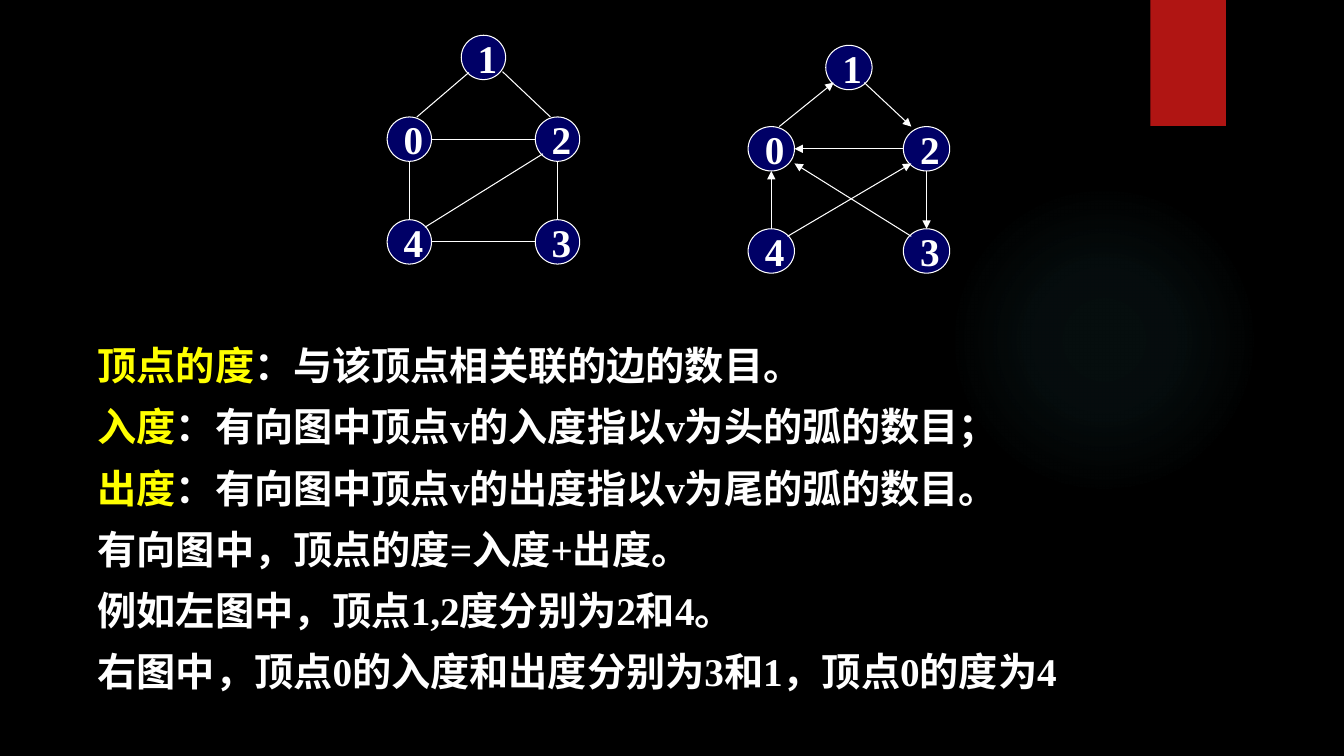
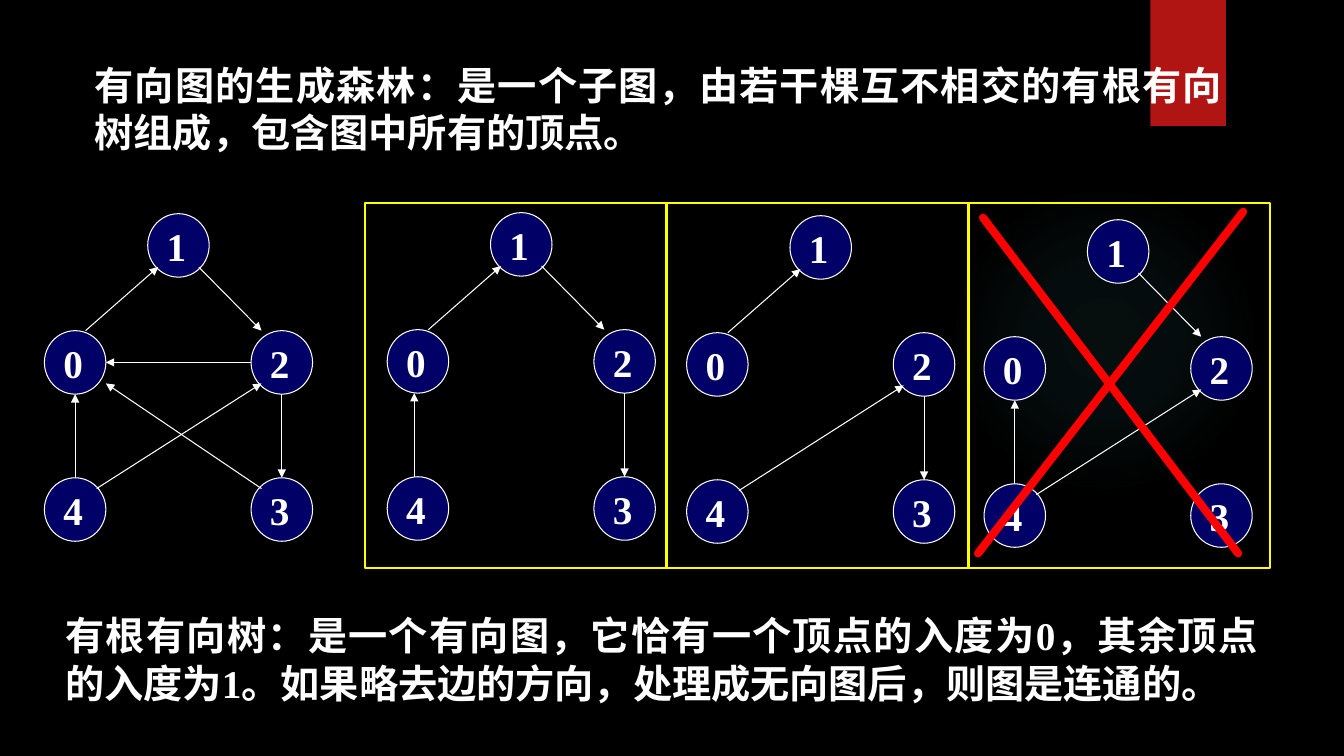
from dataclasses import dataclass

from lxml import etree
from pptx import Presentation
from pptx.dml.color import RGBColor
from pptx.enum.lang import MSO_LANGUAGE_ID as LANG
from pptx.enum.shapes import MSO_CONNECTOR as CONN, MSO_SHAPE as SHAPE
from pptx.enum.text import MSO_ANCHOR as ANCHOR, PP_ALIGN as ALIGN
from pptx.oxml import parse_xml
from pptx.oxml.ns import nsdecls, qn
from pptx.util import Emu, Pt


@dataclass(frozen=True)
class Theme:
    ground: str = "000000"
    ink: str = "FFFFFF"
    term: str = "FFFF00"
    node: str = "000066"
    tab: str = "B01513"
    glow: str = "50B9C1"
    cross: str = "FF0000"
    font: str = "Times New Roman"
    size: float = 28
    thin: float = 0.75
    frame: float = 1.5
    thick: float = 5.75


T = Theme()
PX = 9144  # EMU per px, 100 px to the inch
SLIDE_W, SLIDE_H = 1333, 750

# Node places as shares of the free space in a graph's box
NODES = {1: (0.5, 0), 0: (0, 0.443), 2: (1, 0.443), 3: (1, 1), 4: (0, 1)}

# Where each edge leaves and enters, as shares of the node's own box
ROUTES = {
    (0, 1): ((0.67, 0), (0.17, 0.84)),
    (1, 2): ((0.83, 0.84), (0.17, 0)),
    (2, 0): ((0, 0.5), (1, 0.5)),
    (0, 2): ((1, 0.5), (0, 0.5)),
    (4, 0): ((0.5, 0), (0.5, 1)),
    (2, 3): ((0.5, 1), (0.5, 0)),
    (4, 2): ((0.85, 0.17), (0.17, 0.83)),
    (3, 0): ((0.17, 0.17), (1, 0.83)),
    (4, 3): ((1, 0.5), (0, 0.5)),
}
DIRECTED = [(0, 1), (1, 2), (2, 0), (4, 0), (2, 3), (4, 2), (3, 0)]
UNDIRECTED = [(0, 1), (0, 2), (1, 2), (4, 3), (2, 3), (4, 0), (4, 2)]


def px(*lengths):
    return [Emu(round(v * PX)) for v in lengths]


def rgb(code):
    return RGBColor.from_string(code)


def add_run(p, text, color=T.ink):
    r = p.add_run()
    r.text = text
    f = r.font
    f.name, f.size, f.bold = T.font, Pt(T.size), True
    f.color.rgb = rgb(color)
    f.language_id = LANG.SIMPLIFIED_CHINESE


def add_box(shapes, kind, box, fill=None, line=None, width=T.thin):
    sp = shapes.add_shape(kind, *px(*box))
    sp.shadow.inherit = False
    if fill:
        sp.fill.solid()
        sp.fill.fore_color.rgb = rgb(fill)
    else:
        sp.fill.background()
    if line:
        sp.line.color.rgb = rgb(line)
        sp.line.width = Pt(width)
    else:
        sp.line.fill.background()
    return sp


def add_line(shapes, start, end, color=T.ink, width=T.thin, arrow=False, cap=None):
    cx = shapes.add_connector(CONN.STRAIGHT, *px(*start, *end))
    cx.line.color.rgb = rgb(color)
    cx.line.width = Pt(width)
    ln = cx.line._get_or_add_ln()
    if cap:
        ln.set("cap", cap)
    if arrow:
        etree.SubElement(ln, qn("a:tailEnd"), type="triangle")
    etree.SubElement(cx._element.spPr, qn("a:effectLst"))


def add_text(slide, box, paragraphs, align=ALIGN.LEFT, spacing=None):
    tf = slide.shapes.add_textbox(*px(*box)).text_frame
    tf.word_wrap = True
    for i, runs in enumerate(paragraphs):
        p = tf.add_paragraph() if i else tf.paragraphs[0]
        p.alignment = align
        if spacing:
            p.line_spacing = spacing
        for run in runs:
            add_run(p, *run)


def add_backdrop(slide):
    # Soft radial glow
    glow = add_box(slide.shapes, SHAPE.OVAL, (941, 183, 308, 308), T.glow)
    stops = "".join(
        f'<a:gs pos="{pos}000"><a:srgbClr val="{T.glow}">'
        f'<a:alpha val="{alpha}000"/></a:srgbClr></a:gs>'
        for pos, alpha in ((0, 7), (36, 6), (69, 0)))
    grad = parse_xml(
        f'<a:gradFill {nsdecls("a")}><a:gsLst>{stops}</a:gsLst><a:path path="circle">'
        '<a:fillToRect l="50000" t="50000" r="50000" b="50000"/></a:path></a:gradFill>')
    sp_pr = glow._element.spPr
    sp_pr.replace(sp_pr.find(qn("a:solidFill")), grad)
    # Red tab at the top edge
    add_box(slide.shapes, SHAPE.RECTANGLE, (1141, 0, 75, 125), T.tab)


def add_graph(slide, box, node, edges, arrow=True, detours=None):
    """Draw the five-node graph in box; detours replace single routes."""
    left, top, width, height = box
    nw, nh = node
    shapes = slide.shapes.add_group_shape().shapes
    corners = {n: (left + fx * (width - nw), top + fy * (height - nh))
               for n, (fx, fy) in NODES.items()}
    for n, corner in corners.items():
        sp = add_box(shapes, SHAPE.OVAL, (*corner, nw, nh), T.node, T.ink)
        tf = sp.text_frame
        tf.word_wrap = False
        tf.vertical_anchor = ANCHOR.MIDDLE
        p = tf.paragraphs[0]
        p.alignment = ALIGN.LEFT
        add_run(p, str(n))
    routes = ROUTES | (detours or {})
    for edge in edges:
        ends = [(corners[n][0] + fx * nw, corners[n][1] + fy * nh)
                for n, (fx, fy) in zip(edge, routes[edge])]
        add_line(shapes, *ends, arrow=arrow)


def add_cross(slide, box):
    left, top, _, _ = box
    shapes = slide.shapes.add_group_shape().shapes
    for x1, y1, x2, y2 in ((15, 15, 268, 348), (273, 9, 10, 348)):
        add_line(shapes, (left + x1, top + y1), (left + x2, top + y2),
                 T.cross, T.thick, cap="rnd")


def new_slide(prs):
    slide = prs.slides.add_slide(prs.slide_layouts[6])
    add_backdrop(slide)
    return slide


def degree_slide(prs):
    slide = new_slide(prs)
    add_text(slide, (87, 320, 1110, 378), [
        [("顶点的度", T.term), ("：与该顶点相关联的边的数目。",)],
        [("入度", T.term), ("：有向图中顶点v的入度指以v为头的弧的数目；",)],
        [("出度", T.term), ("：有向图中顶点v的出度指以v为尾的弧的数目。",)],
        [("有向图中，顶点的度=入度+出度。",)],
        [("例如左图中，顶点1,2度分别为2和4。",)],
        [("右图中，顶点0的入度和出度分别为3和1，顶点0的度为4",)],
    ], spacing=1.3)
    add_graph(slide, (742, 45, 200, 226), (46, 44), DIRECTED)
    add_graph(slide, (384, 35, 191, 227), (44, 44), UNDIRECTED, arrow=False,
              detours={(1, 2): ((0.93, 0.82), (0.34, 0))})


def forest_slide(prs):
    slide = new_slide(prs)
    # Definitions above and below the graphs
    for box, text in (
        ((55, 602, 1202, 104),
         "有根有向树：是一个有向图，它恰有一个顶点的入度为0，其余顶点的入度为1。"
         "如果略去边的方向，处理成无向图后，则图是连通的。"),
        ((84, 56, 1138, 104),
         "有向图的生成森林：是一个子图，由若干棵互不相交的有根有向树组成，"
         "包含图中所有的顶点。"),
    ):
        add_text(slide, box, [[(text,)]], ALIGN.JUSTIFY)
    # Whole graph, then three framed candidates
    size, node = (266, 325), (61, 63)
    add_graph(slide, (44, 212, *size), node, DIRECTED)
    frames = [(362 + 299 * i, 201, 300, 363) for i in range(3)]
    candidates = (
        ((22, 10), [(0, 1), (1, 2), (2, 3), (4, 0)], {(4, 0): ((0.44, 0), (0.44, 1))}),
        ((20, 13), [(0, 1), (2, 3), (4, 2)], None),
        ((16, 17), [(1, 2), (4, 0), (4, 2)], None),
    )
    for frame, ((dx, dy), edges, detours) in zip(frames, candidates):
        add_box(slide.shapes, SHAPE.RECTANGLE, frame, line=T.term, width=T.frame)
        add_graph(slide, (frame[0] + dx, frame[1] + dy, *size), node, edges,
                  detours=detours)
    # The last one is no spanning forest
    add_cross(slide, frames[-1])


def main():
    prs = Presentation()
    prs.slide_width, prs.slide_height = px(SLIDE_W, SLIDE_H)
    ground = prs.slide_master.background.fill
    ground.solid()
    ground.fore_color.rgb = rgb(T.ground)
    degree_slide(prs)
    forest_slide(prs)
    prs.save("out.pptx")


if __name__ == "__main__":
    main()
